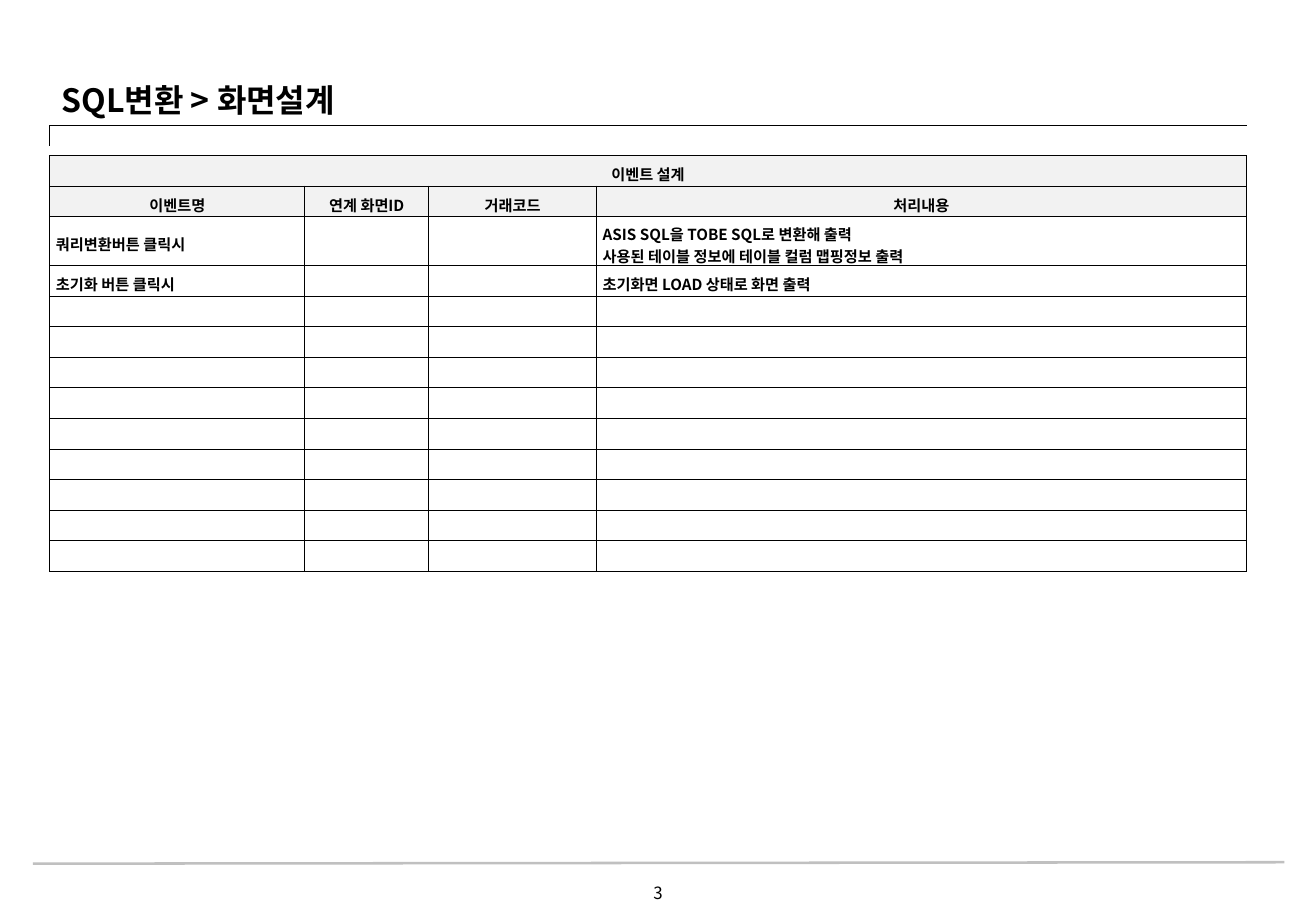
import pptx
import pptx.util
import pptx.dml.color
import pptx.enum.shapes
import pptx.enum.text
import pptx.oxml.ns
import lxml.etree

Cm, Pt = pptx.util.Cm, pptx.util.Pt
Align = pptx.enum.text.PP_ALIGN
Middle = pptx.enum.text.MSO_ANCHOR.MIDDLE
qn = pptx.oxml.ns.qn

FONT = "Noto Sans CJK KR"
COLORS = {"ink": "000000", "rule": "C0C0C0", "header": "F2F2F2", "body": "FFFFFF"}

TITLE = "SQL변환 > 화면설계"
PAGE_NUMBER = "3"
TABLE_TITLE = "이벤트 설계"
HEADERS = ["이벤트명", "연계 화면ID", "거래코드", "처리내용"]
EVENTS = [
    ("쿼리변환버튼 클릭시", "", "",
     "ASIS SQL을 TOBE SQL로 변환해 출력\n사용된 테이블 정보에 테이블 컬럼 맵핑정보 출력"),
    ("초기화 버튼 클릭시", "", "", "초기화면 LOAD 상태로 화면 출력"),
]
EMPTY_ROWS = 9
COLUMN_WIDTHS = [5.33, 2.59, 3.51, 13.58]
ROW_HEIGHT, TALL_ROW_HEIGHT = 0.64, 1.02
LEFT, TABLE_TOP = 1.04, 3.25


def color(name):
    return pptx.dml.color.RGBColor.from_string(COLORS[name])


def apply(target, values):
    for name, value in values.items():
        setattr(target, name, value)


def write(frame, text, size, bold=False, align=Align.LEFT):
    for index, line in enumerate(text.split("\n")):
        para = frame.add_paragraph() if index else frame.paragraphs[0]
        para.alignment = align
        if not line:
            lxml.etree.SubElement(para._p, qn("a:endParaRPr"), sz=str(size * 100))
            continue
        span = para.add_run()
        span.text = line
        apply(span.font, {"name": FONT, "size": Pt(size), "bold": bold})
        span.font.color.rgb = color("ink")
        lxml.etree.SubElement(span.font._element, qn("a:ea"), typeface=FONT)


def draw_line(kind, start, end, tone, width):
    line = slide.shapes.add_connector(kind, *map(Cm, start + end))
    line.line.color.rgb = color(tone)
    line.line.width = Pt(width)
    lxml.etree.SubElement(line._element.spPr, qn("a:effectLst"))
    return line


def add_borders(cell):
    properties = cell._tc.get_or_add_tcPr()
    for side in ("lnL", "lnR", "lnT", "lnB"):
        border = lxml.etree.SubElement(properties, qn("a:" + side), w=str(Pt(0.5)))
        fill = lxml.etree.SubElement(border, qn("a:solidFill"))
        lxml.etree.SubElement(fill, qn("a:srgbClr"), val=COLORS["ink"])


deck = pptx.Presentation()
apply(deck, {"slide_width": Cm(27.51), "slide_height": Cm(19.05)})
slide = deck.slides.add_slide(deck.slide_layouts[5])

number = slide.shapes.add_textbox(Cm(13.26), Cm(18.34), Cm(0.99), Cm(0.69))
number.text_frame.word_wrap = False
write(number.text_frame, PAGE_NUMBER, 10, align=Align.CENTER)

Connector = pptx.enum.shapes.MSO_CONNECTOR
draw_line(Connector.STRAIGHT, (0.69, 18.06), (26.85, 18.03), "rule", 1.5)
bracket = draw_line(Connector.ELBOW, (LEFT, 3.05), (26.06, 2.62), "ink", 0.75)
geometry = bracket._element.spPr.find(qn("a:prstGeom"))
guides = geometry.find(qn("a:avLst"))
if guides is None:
    guides = lxml.etree.SubElement(geometry, qn("a:avLst"))
lxml.etree.SubElement(guides, qn("a:gd"), name="adj1", fmla="val 0")

title = slide.shapes.title
apply(title, {"left": Cm(LEFT), "top": Cm(1.57), "width": Cm(6.76), "height": Cm(1.04)})
apply(title.text_frame, {
    "word_wrap": False, "vertical_anchor": Middle,
    "auto_size": pptx.enum.text.MSO_AUTO_SIZE.NONE,
    "margin_left": Cm(0.25), "margin_right": Cm(0.25),
    "margin_top": Cm(0.13), "margin_bottom": Cm(0.13),
})
write(title.text_frame, TITLE, 19, bold=True)

blank = [""] * len(HEADERS)
rows = [[TABLE_TITLE] + blank[1:], HEADERS, *EVENTS, *[blank] * EMPTY_ROWS]
heights = [TALL_ROW_HEIGHT if any("\n" in text for text in row) else ROW_HEIGHT
           for row in rows]
table = slide.shapes.add_table(len(rows), len(HEADERS), Cm(LEFT), Cm(TABLE_TOP),
                               Cm(sum(COLUMN_WIDTHS)), Cm(sum(heights))).table
apply(table, {"first_row": False, "horz_banding": False})
for column, width in zip(table.columns, COLUMN_WIDTHS):
    column.width = Cm(width)
for row_index, (row, height) in enumerate(zip(rows, heights)):
    table.rows[row_index].height = Cm(height)
    is_header = row_index < 2
    for column_index, text in enumerate(row):
        cell = table.cell(row_index, column_index)
        apply(cell, {"margin_left": Cm(0.13), "margin_right": Cm(0.13),
                     "margin_top": Cm(0.13), "margin_bottom": 0,
                     "vertical_anchor": Middle})
        add_borders(cell)
        cell.fill.solid()
        cell.fill.fore_color.rgb = color("header" if is_header else "body")
        write(cell.text_frame, text, 9, bold=True,
              align=Align.CENTER if is_header else Align.LEFT)
table.cell(0, 0).merge(table.cell(0, len(HEADERS) - 1))

deck.save("out.pptx")
